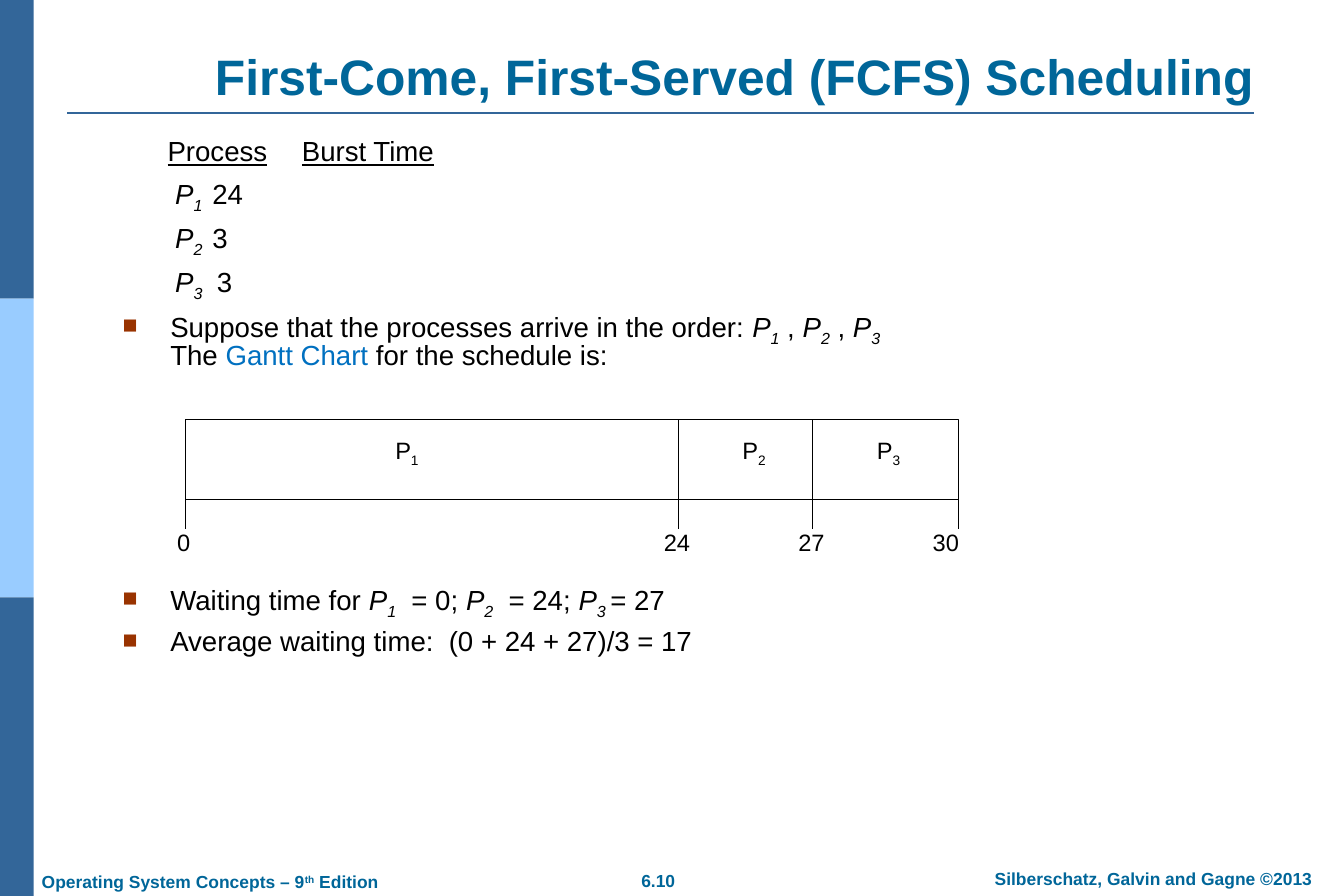
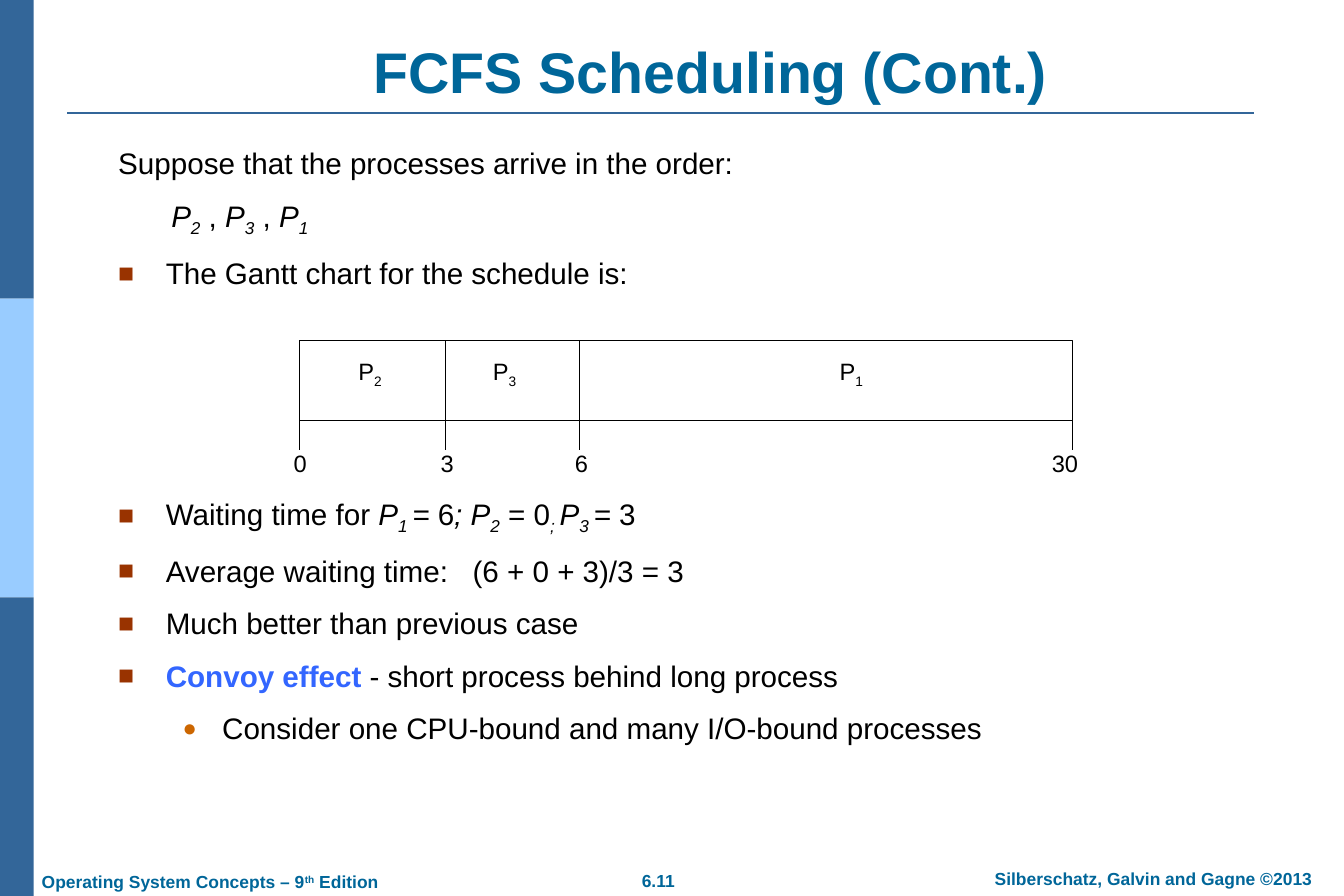
from dataclasses import dataclass

from lxml.etree import SubElement
from pptx import Presentation
from pptx.dml.color import RGBColor
from pptx.enum.shapes import MSO_CONNECTOR, MSO_SHAPE
from pptx.enum.text import MSO_ANCHOR, MSO_AUTO_SIZE, PP_ALIGN
from pptx.oxml.ns import qn
from pptx.util import Pt


@dataclass(frozen=True)
class Theme:
    font: str = "Arial"
    heading: str = "006699"
    band: str = "336699"
    band_light: str = "99CCFF"
    text: str = "000000"
    paper: str = "FFFFFF"
    link: str = "0070C0"
    key_term: str = "3366FF"
    square: str = "993300"
    dot: str = "CC6600"
    footer_size: float = 14
    gantt_size: float = 19


theme = Theme()


def write(paragraph, runs, size, color=theme.text, bold=False):
    """Fill a paragraph; a run is a string or (string, flags, optional colour)."""
    font = paragraph.font
    font.name, font.size, font.bold = theme.font, Pt(size), bold
    font.color.rgb = RGBColor.from_string(color)
    for item in runs:
        if item == "\n":
            paragraph.add_line_break()
            continue
        text, flags, *run_color = (item, "") if isinstance(item, str) else item
        run = paragraph.add_run()
        run.text = text
        if "i" in flags:
            run.font.italic = True
        if "u" in flags:
            run.font.underline = True
        if "b" in flags:
            run.font.bold = True
        if run_color:
            run.font.color.rgb = RGBColor.from_string(run_color[0])
        if "-" in flags or "+" in flags:
            shift = "-25000" if "-" in flags else "30000"
            run._r.get_or_add_rPr().set("baseline", shift)


def add_label(slide, box, runs, size, color=theme.text, bold=False, align=PP_ALIGN.CENTER):
    """Add a one-line text box, centred vertically."""
    frame = slide.shapes.add_textbox(*map(Pt, box)).text_frame
    frame.word_wrap = True
    frame.vertical_anchor = MSO_ANCHOR.MIDDLE
    frame.margin_left = frame.margin_right = Pt(7)
    frame.margin_top = frame.margin_bottom = Pt(4)
    frame.paragraphs[0].alignment = align
    write(frame.paragraphs[0], runs, size, color, bold)


# Content: paragraphs are (kind, space before, runs)
P1, P2, P3 = ([("P", "i"), (str(number), "i-")] for number in (1, 2, 3))
thin_space = (" ", "i-")

pages = [
    {
        "number": "6.10",
        "title": "First-Come, First-Served (FCFS) Scheduling",
        "title_box": (117.4, 41.8, 945.4, 48.2),
        "title_size": 40,
        "body_box": (88.6, 108, 893.5, 432),
        "body_size": 22.2,
        "line_spacing": 0.8,
        "body": [
            ("row", 0, ["\t", ("Process", "u"), "\t", ("Burst Time", "u")]),
            ("row", 11, ["\t ", *P1, "\t24"]),
            ("row", 11, ["\t ", *P2, "\t3"]),
            ("row", 11, ["\t ", *P3, "\t", thin_space, "3"]),
            ("square", 12.2, [
                "Suppose that the processes arrive in the order: ",
                *P1, " , ", *P2, " , ", *P3, "\n",
                "The ", ("Gantt Chart", "", theme.link), " for the schedule is:"]),
            ("square", 173.5, ["Waiting time for ", *P1, "  = 0; ", *P2, "  = 24; ",
                               *P3, thin_space, "= 27"]),
            ("square", 11, ["Average waiting time:  (0 + 24 + 27)/3 = 17"]),
        ],
        "gantt_top": 337,
        "bars": [(P1, 327), (P2, 606), (P3, 714)],
        # (line position, time, centre of the time label)
        "times": [(149, "0", 147.6), (545, "24", 544), (653, "27", 652), (770, "30", 760)],
    },
    {
        "number": "6.11",
        "title": "FCFS Scheduling (Cont.)",
        "title_box": (115.9, 28.8, 910, 60.5),
        "title_size": 46,
        "body_box": (85, 111.6, 972, 476),
        "body_size": 23.8,
        "line_spacing": 1.0,
        "body": [
            ("row", 0, ["Suppose that the processes arrive in the order:"]),
            ("row", 13.6, ["\t ", *P2, " , ", *P3, " , ", *P1]),
            ("square", 13.6, ["The Gantt chart for the schedule is:"]),
            ("square", 164.7, ["Waiting time for ", *P1, thin_space, ("=", "i"), " 6",
                               ("; ", "i"), *P2, " = 0", ("; ", "i-"),
                               *P3, thin_space, ("= ", "i"), "3"]),
            ("square", 13.6, ["Average waiting time:   (6 + 0 + 3)/3 = 3"]),
            ("square", 13.6, ["Much better than previous case"]),
            ("square", 13.6, [("Convoy effect ", "b", theme.key_term),
                              "- short process behind long process"]),
            ("dot", 13.6, ["Consider one CPU-bound and many I/O-bound processes"]),
        ],
        "gantt_top": 273.6,
        "bars": [(P2, 297.4), (P3, 405.4), (P1, 684)],
        "times": [(241, "0", 241.2), (358, "3", 359.3), (466, "6", 467.3), (862, "30", 855.7)],
    },
]

# kind: (level, left margin, first-line indent, bullet, bullet colour, bullet size)
kinds = {
    "row": (0, 0, 0, None, None, None),
    "square": (0, 38.2, -38.2, "■", theme.square, "90000"),
    "dot": (1, 83.5, -31.7, "●", theme.dot, "80000"),
}
row_tabs = (110, 182, 254)

presentation = Presentation()
presentation.slide_width, presentation.slide_height = Pt(1080), Pt(720)
layout = presentation.slide_layouts[1]
slides = [presentation.slides.add_slide(layout) for page in pages]

# Shared frame: drawn once, then moved into the layout
for placeholder in list(layout.placeholders):
    if placeholder.placeholder_format.idx >= 10:
        layout.shapes.element.remove(placeholder.element)

first_slide = slides[0]
for index, color in enumerate((theme.band, theme.band_light, theme.band)):
    band = first_slide.shapes.add_shape(
        MSO_SHAPE.RECTANGLE, 0, Pt(index * 240), Pt(27), Pt(240))
    band.shadow.inherit = False
    band.fill.solid()
    band.fill.fore_color.rgb = RGBColor.from_string(color)
    band.line.fill.background()

rule = first_slide.shapes.add_connector(
    MSO_CONNECTOR.STRAIGHT, Pt(54), Pt(90.5), Pt(1008), Pt(90.5))
rule.line.color.rgb = RGBColor.from_string(theme.band)
rule.line.width = Pt(1.5)
SubElement(rule._element.spPr, qn("a:effectLst"))

footer_style = {"size": theme.footer_size, "color": theme.heading, "bold": True}
add_label(first_slide, (767, 692, 320, 27.4),
          ["Silberschatz, Galvin and Gagne ©2013"], **footer_style)
add_label(first_slide, (26.5, 695, 320, 27.4),
          ["Operating System Concepts – 9", ("th", "+"), " Edition"],
          align=PP_ALIGN.LEFT, **footer_style)
for shape in list(first_slide.shapes):
    if not shape.is_placeholder:
        layout.shapes.element.append(shape.element)

for slide, page in zip(slides, pages):
    # Title and body placeholders
    title, body = slide.shapes.title, slide.placeholders[1]
    for shape, box in ((title, page["title_box"]), (body, page["body_box"])):
        shape.left, shape.top, shape.width, shape.height = map(Pt, box)
        frame = shape.text_frame
        frame.word_wrap = True
        frame.auto_size = MSO_AUTO_SIZE.NONE
        frame.margin_left = frame.margin_right = Pt(10)
        frame.margin_top = frame.margin_bottom = Pt(5)
    title.text_frame.vertical_anchor = MSO_ANCHOR.BOTTOM
    title_paragraph = title.text_frame.paragraphs[0]
    title_paragraph.alignment = PP_ALIGN.CENTER
    write(title_paragraph, [page["title"]], page["title_size"], theme.heading, True)

    # Body paragraphs
    frame = body.text_frame
    frame.vertical_anchor = MSO_ANCHOR.TOP
    for index, (kind, space_before, runs) in enumerate(page["body"]):
        paragraph = frame.add_paragraph() if index else frame.paragraphs[0]
        level, margin, indent, bullet, bullet_color, bullet_size = kinds[kind]
        paragraph.level = level
        paragraph.line_spacing = page["line_spacing"]
        paragraph.space_before = Pt(space_before)
        properties = paragraph._p.get_or_add_pPr()
        properties.set("marL", str(Pt(margin)))
        properties.set("indent", str(Pt(indent)))
        if bullet:
            color = SubElement(properties, qn("a:buClr"))
            SubElement(color, qn("a:srgbClr"), val=bullet_color)
            SubElement(properties, qn("a:buSzPct"), val=bullet_size)
            SubElement(properties, qn("a:buFont"), typeface=theme.font)
            SubElement(properties, qn("a:buChar"), char=bullet)
        else:
            SubElement(properties, qn("a:buNone"))
            tabs = SubElement(properties, qn("a:tabLst"))
            for position in row_tabs:
                SubElement(tabs, qn("a:tab"), pos=str(Pt(position)), algn="l")
        write(paragraph, runs, page["body_size"])

    # Gantt chart: outline, dividers with ticks, process names and times
    top, bar_height, tick = page["gantt_top"], 64, 24
    left, right = page["times"][0][0], page["times"][-1][0]
    outline = slide.shapes.add_shape(
        MSO_SHAPE.RECTANGLE, Pt(left), Pt(top), Pt(right - left), Pt(bar_height))
    outline.shadow.inherit = False
    outline.fill.solid()
    outline.fill.fore_color.rgb = RGBColor.from_string(theme.paper)
    outline.line.color.rgb = RGBColor.from_string(theme.text)
    outline.line.width = Pt(0.75)

    for x, time, center in page["times"]:
        line_top = top + bar_height if x in (left, right) else top
        divider = slide.shapes.add_connector(
            MSO_CONNECTOR.STRAIGHT, Pt(x), Pt(line_top), Pt(x), Pt(top + bar_height + tick))
        divider.line.color.rgb = RGBColor.from_string(theme.text)
        divider.line.width = Pt(0.75)
        SubElement(divider._element.spPr, qn("a:effectLst"))
        add_label(slide, (center - 30, top + 83.5, 60, 30), [time], theme.gantt_size)

    for (letter, number), center in page["bars"]:
        add_label(slide, (center - 30, top + 10, 60, 33),
                  [letter[0], (number[0], "-")], theme.gantt_size)

    # Page number
    add_label(slide, (479, 694, 100, 27.4), [page["number"]], **footer_style)

presentation.save("out.pptx")
